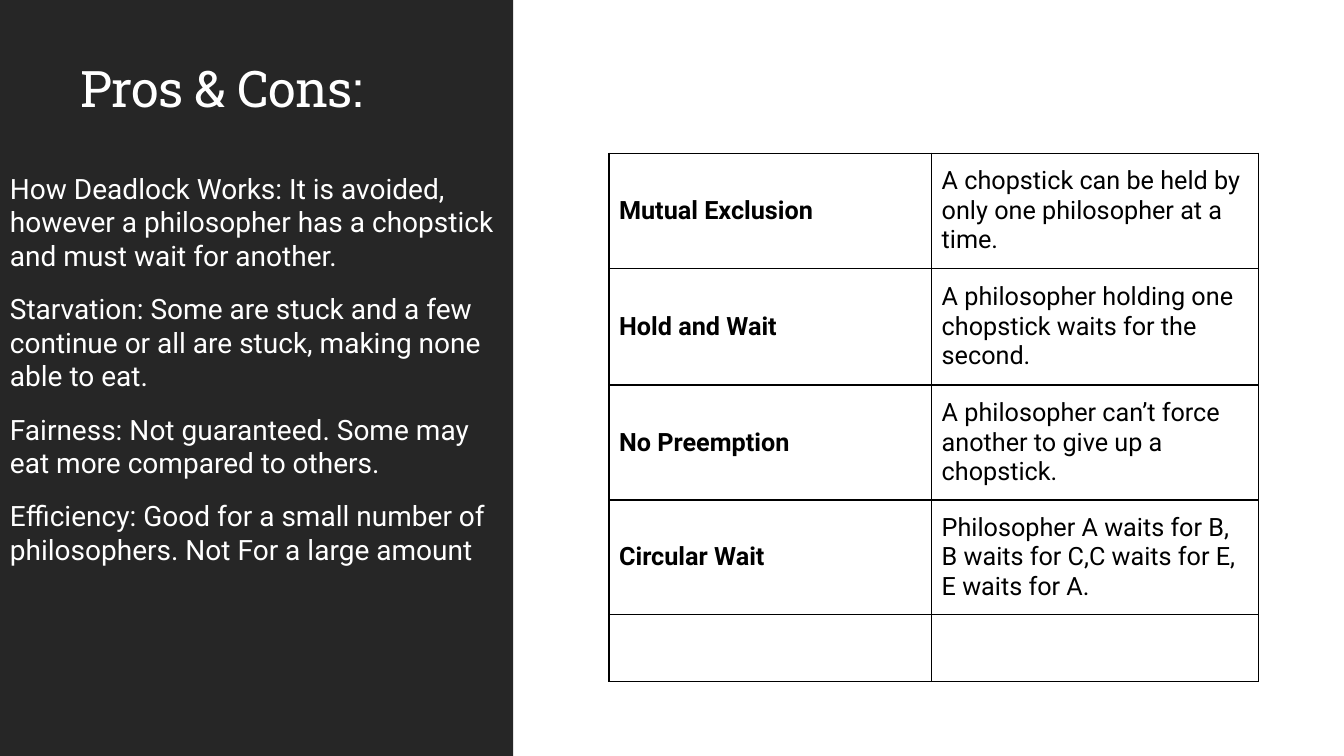
"""Build the slide on pros and cons with the four deadlock conditions."""
from dataclasses import dataclass

from lxml import etree
from pptx import Presentation
from pptx.dml.color import RGBColor
from pptx.enum.shapes import MSO_SHAPE
from pptx.enum.text import MSO_ANCHOR, MSO_AUTO_SIZE, PP_ALIGN
from pptx.oxml.ns import qn
from pptx.util import Inches, Pt

RECTANGLE = MSO_SHAPE.RECTANGLE
MIDDLE, BOTTOM, TOP = MSO_ANCHOR.MIDDLE, MSO_ANCHOR.BOTTOM, MSO_ANCHOR.TOP
NO_AUTOFIT = MSO_AUTO_SIZE.NONE
LEFT = PP_ALIGN.LEFT


@dataclass(frozen=True)
class Theme:
    panel: str = "262626"
    light: str = "FFFFFF"
    dark: str = "000000"
    heading_font: str = "Roboto Slab"
    body_font: str = "Roboto"
    title_size: int = 36
    body_size: int = 20
    table_size: int = 18
    border_width: int = 1


THEME = Theme()

POINTS = [
    "How Deadlock Works: It is avoided, however a philosopher has a chopstick and must wait for another.",
    "Starvation: Some are stuck and a few continue or all are stuck, making none able to eat.",
    "Fairness: Not guaranteed. Some may eat more compared to others.",
    "Efficiency: Good for a small number of philosophers. Not For a large amount",
]
CONDITIONS = [
    ("Mutual Exclusion", "A chopstick can be held by only one philosopher at a time."),
    ("Hold and Wait", "A philosopher holding one chopstick waits for the second."),
    ("No Preemption", "A philosopher can’t force another to give up a chopstick."),
    ("Circular Wait", "Philosopher A waits for B, B waits for C,C waits for E, E waits for A."),
    ("", ""),
]
COLUMN_WIDTHS = [3.2, 3.24]
ROW_HEIGHTS = [1.14, 1.16, 1.14, 1.14, 0.66]


def style_font(font, name, size, color, bold=False):
    font.name = name
    font.size = Pt(size)
    font.bold = bold
    font.color.rgb = RGBColor.from_string(color)


def add_borders(cell):
    properties = cell._tc.get_or_add_tcPr()
    for index, side in enumerate(("a:lnL", "a:lnR", "a:lnT", "a:lnB")):
        line = etree.Element(qn(side), w=str(Pt(THEME.border_width)))
        fill = etree.SubElement(line, qn("a:solidFill"))
        etree.SubElement(fill, qn("a:srgbClr"), val=THEME.dark)
        properties.insert(index, line)


presentation = Presentation()
presentation.slide_width = Inches(13.33)
presentation.slide_height = Inches(7.5)
slide = presentation.slides.add_slide(presentation.slide_layouts[5])

title = slide.shapes.title
title.left, title.top = Inches(0.7), Inches(0.55)
title.width, title.height = Inches(3.85), Inches(0.68)
title.text_frame.text = "Pros & Cons:"
title.text_frame.auto_size = NO_AUTOFIT
title.text_frame.vertical_anchor = BOTTOM
heading = title.text_frame.paragraphs[0]
heading.alignment = LEFT
heading.line_spacing = 0.9
style_font(heading.font, THEME.heading_font, THEME.title_size, THEME.light)
heading.runs[0]._r.get_or_add_rPr().set("spc", "-50")

panel = slide.shapes.add_shape(RECTANGLE, 0, 0, Inches(5.09), Inches(7.5))
panel.shadow.inherit = False
panel.fill.solid()
panel.fill.fore_color.rgb = RGBColor.from_string(THEME.panel)
panel.line.fill.background()
title.element.addprevious(panel.element)

body = slide.shapes.add_textbox(0, Inches(1.65), Inches(5.08), Inches(4.2))
body.text_frame.word_wrap = True
body.text_frame.auto_size = NO_AUTOFIT
body.text_frame.vertical_anchor = TOP
body.text_frame.text = "\n".join(POINTS)
for paragraph in body.text_frame.paragraphs:
    paragraph.space_before = Pt(12)
    paragraph.space_after = Pt(2)
    style_font(paragraph.font, THEME.body_font, THEME.body_size, THEME.light)

table = slide.shapes.add_table(
    len(ROW_HEIGHTS), len(COLUMN_WIDTHS), Inches(6.04), Inches(1.52),
    Inches(sum(COLUMN_WIDTHS)), Inches(sum(ROW_HEIGHTS)),
).table
table.first_row = False
table.horz_banding = False
for column, width in zip(table.columns, COLUMN_WIDTHS):
    column.width = Inches(width)
for row, height, texts in zip(table.rows, ROW_HEIGHTS, CONDITIONS):
    row.height = Inches(height)
    for index, (cell, text) in enumerate(zip(row.cells, texts)):
        cell.text = text
        cell.vertical_anchor = MIDDLE
        cell.fill.background()
        add_borders(cell)
        style_font(cell.text_frame.paragraphs[0].font, THEME.body_font,
                   THEME.table_size, THEME.dark, bold=index == 0)

presentation.save("out.pptx")
